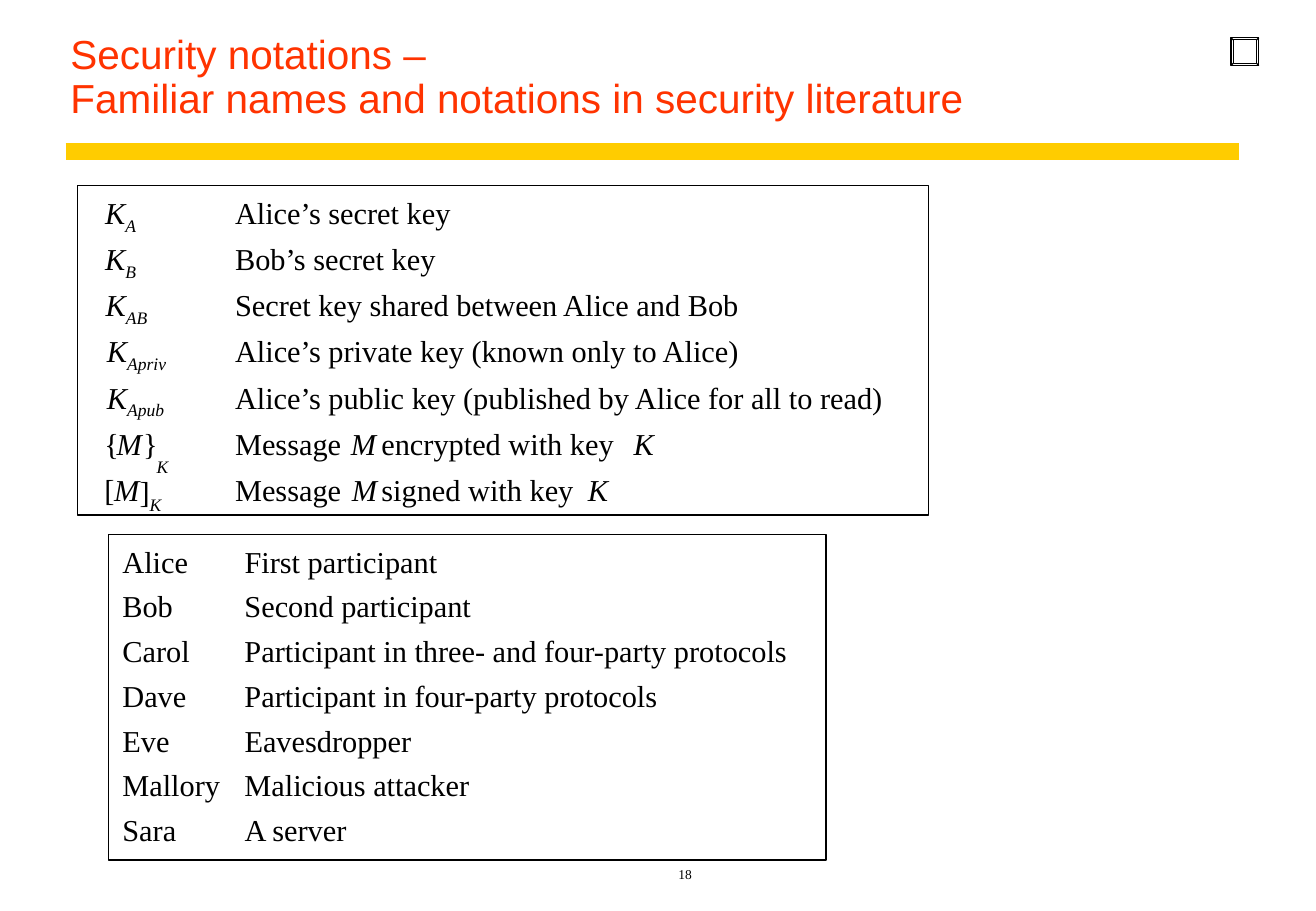
import dataclasses

import pptx
import pptx.dml.color
import pptx.enum.shapes
import pptx.enum.text
import pptx.oxml.ns
import pptx.util
from lxml import etree

COLOURS = {"title": "FF3300", "rule": "FFCC00", "ink": "000000", "paper": "FFFFFF"}
SERIF = {"name": "Times New Roman", "size": pptx.util.Pt(18)}
WIDTH, HEIGHT = pptx.util.Inches(10.84), pptx.util.Inches(7.5)
RECTANGLE = pptx.enum.shapes.MSO_SHAPE.RECTANGLE
BEVEL = pptx.enum.shapes.MSO_SHAPE.BEVEL


@dataclasses.dataclass(frozen=True)
class Area:
    """Place and size in percent of the slide's width and height."""
    left: float
    top: float
    width: float
    height: float

    def lengths(self) -> list[int]:
        return [round(share * side / 100) for share, side in
                zip((self.left, self.top, self.width, self.height), (WIDTH, HEIGHT) * 2)]


@dataclasses.dataclass(frozen=True)
class Term:
    """One piece of a row: upright text, then italic symbol, then italic subscript."""
    left: float
    width: float
    text: str = ""
    symbol: str = ""
    sub: str = ""
    drop: float = 0


@dataclasses.dataclass(frozen=True)
class Panel:
    frame: Area
    first_row: float
    pitch: float
    rows: list[list[Term]]


MEANING, ROLE = 17.86, 18.58
SLACK = 0.4  # keeps each term on one line
NOTATIONS = Panel(Area(5.9, 20.4, 64.67, 36.13), 21.3, 5.07, [
    [Term(7.98, 2.4, symbol="K", sub="A"), Term(MEANING, 16.51, "Alice’s secret key")],
    [Term(7.98, 2.4, symbol="K", sub="B"), Term(MEANING, 15.41, "Bob’s secret key")],
    [Term(8.03, 3.14, symbol="K", sub="AB"),
     Term(MEANING, 38.47, "Secret key shared between Alice and Bob")],
    [Term(8.12, 4.52, symbol="K", sub="Apriv"),
     Term(MEANING, 38.56, "Alice’s private key (known only to Alice)")],
    [Term(8.12, 4.34, symbol="K", sub="Apub"),
     Term(MEANING, 49.54, "Alice’s public key (published by Alice for all to read)")],
    [Term(7.93, 1.11, "{"), Term(8.86, 1.94, symbol="M"), Term(10.89, 1.11, "}"),
     Term(11.9, 0.92, sub="K", drop=1.2),
     Term(MEANING, 8.67, "Message"), Term(26.66, 1.94, symbol="M"),
     Term(28.41, 18.82, " encrypted with key"), Term(48.15, 1.57, symbol="K")],
    [Term(7.93, 0.74, "["), Term(8.67, 1.94, symbol="M"),
     Term(10.61, 1.66, "]", sub="K", drop=0.27),
     Term(MEANING, 8.67, "Message"), Term(26.75, 1.94, symbol="M"),
     Term(28.41, 15.22, " signed with key"), Term(44.1, 2.12, symbol=" K")],
])
PARTICIPANTS = Panel(Area(8.25, 58.67, 54.52, 35.73), 59.6, 4.91, [
    [Term(9.3, name_width, name), Term(ROLE, role_width, role)]
    for name, name_width, role, role_width in [
        ("Alice", 4.98, "First participant", 14.67),
        ("Bob", 3.87, "Second participant", 17.25),
        ("Carol", 5.17, "Participant in three- and four-party protocols", 41.33),
        ("Dave", 4.89, "Participant in four-party protocols", 31.46),
        ("Eve", 3.6, "Eavesdropper", 13.28),
        ("Mallory", 7.47, "Malicious attacker", 17.07),
        ("Sara", 4.06, "A server", 7.84),
    ]
])


def rgb(name: str) -> pptx.dml.color.RGBColor:
    return pptx.dml.color.RGBColor.from_string(COLOURS[name])


def assign(target, values: dict) -> None:
    for attribute, value in values.items():
        setattr(target, attribute, value)


def add_run(paragraph, text: str, style: dict, colour: str = "ink"):
    run = paragraph.add_run()
    run.text = text
    assign(run.font, style)
    run.font.color.rgb = rgb(colour)
    return run


def add_outline(slide, area: Area, kind=RECTANGLE):
    outline = slide.shapes.add_shape(kind, *area.lengths())
    outline.shadow.inherit = False
    outline.fill.background()
    outline.line.color.rgb = rgb("ink")
    outline.line.width = pptx.util.Pt(0.75)
    return outline


def add_term(slide, term: Term, top: float) -> None:
    area = Area(term.left, top + term.drop, term.width + SLACK, 4.53 if term.sub else 4)
    frame = slide.shapes.add_textbox(*area.lengths()).text_frame
    assign(frame, {"margin_left": 0, "margin_top": 0, "margin_right": 0, "margin_bottom": 0,
                   "word_wrap": False,
                   "auto_size": pptx.enum.text.MSO_AUTO_SIZE.SHAPE_TO_FIT_TEXT})
    paragraph = frame.paragraphs[0]
    if term.text:
        add_run(paragraph, term.text, SERIF)
    if term.symbol:
        add_run(paragraph, term.symbol, SERIF | {"italic": True})
    if term.sub:
        sub = add_run(paragraph, term.sub, SERIF | {"italic": True})
        sub.font._element.set("baseline", "-25000")


def add_panel(slide, panel: Panel) -> None:
    add_outline(slide, panel.frame)
    for index, row in enumerate(panel.rows):
        for term in row:
            add_term(slide, term, panel.first_row + index * panel.pitch)


def add_title(slide) -> None:
    title = slide.shapes.title
    assign(title, dict(zip(("left", "top", "width", "height"),
                           Area(4.43, 3.38, 89.67, 10.67).lengths())))
    assign(title.text_frame, {"vertical_anchor": pptx.enum.text.MSO_ANCHOR.BOTTOM,
                              "word_wrap": True,
                              "auto_size": pptx.enum.text.MSO_AUTO_SIZE.NONE})
    paragraph = title.text_frame.paragraphs[0]
    assign(paragraph, {"alignment": pptx.enum.text.PP_ALIGN.LEFT, "line_spacing": 0.9})
    style = {"name": "Arial", "size": pptx.util.Pt(24)}
    add_run(paragraph, "Security notations – ", style, "title")
    paragraph.add_line_break()
    add_run(paragraph, "Familiar names and notations in security literature", style, "title")


def add_title_rule(slide) -> None:
    left, top, width, _ = Area(4.98, 16.67, 89.15, 0).lengths()
    rule = slide.shapes.add_connector(pptx.enum.shapes.MSO_CONNECTOR.STRAIGHT,
                                      left, top, left + width, top)
    rule.line.color.rgb = rgb("rule")
    rule.line.width = pptx.util.Pt(10)
    etree.SubElement(rule._element.spPr, pptx.oxml.ns.qn("a:effectLst"))


def add_page_number(slide) -> None:
    frame = slide.shapes.add_textbox(*Area(21.68, 93.33, 60.79, 4.13).lengths()).text_frame
    assign(frame, {"word_wrap": True, "vertical_anchor": pptx.enum.text.MSO_ANCHOR.BOTTOM})
    paragraph = frame.paragraphs[0]
    assign(paragraph, {"alignment": pptx.enum.text.PP_ALIGN.CENTER,
                       "space_before": pptx.util.Pt(5)})
    add_run(paragraph, "18", SERIF | {"size": pptx.util.Pt(8)})


def main() -> None:
    deck = pptx.Presentation()
    assign(deck, {"slide_width": WIDTH, "slide_height": HEIGHT})
    slide = deck.slides.add_slide(deck.slide_layouts[5])
    slide.background.fill.solid()
    slide.background.fill.fore_color.rgb = rgb("paper")
    add_title_rule(slide)
    add_page_number(slide)
    add_title(slide)
    for panel in (NOTATIONS, PARTICIPANTS):
        add_panel(slide, panel)
    corner_button = add_outline(slide, Area(93.54, 4.13, 2.12, 3.07), BEVEL)
    corner_button.adjustments[0] = 0.08
    deck.save("out.pptx")


if __name__ == "__main__":
    main()
